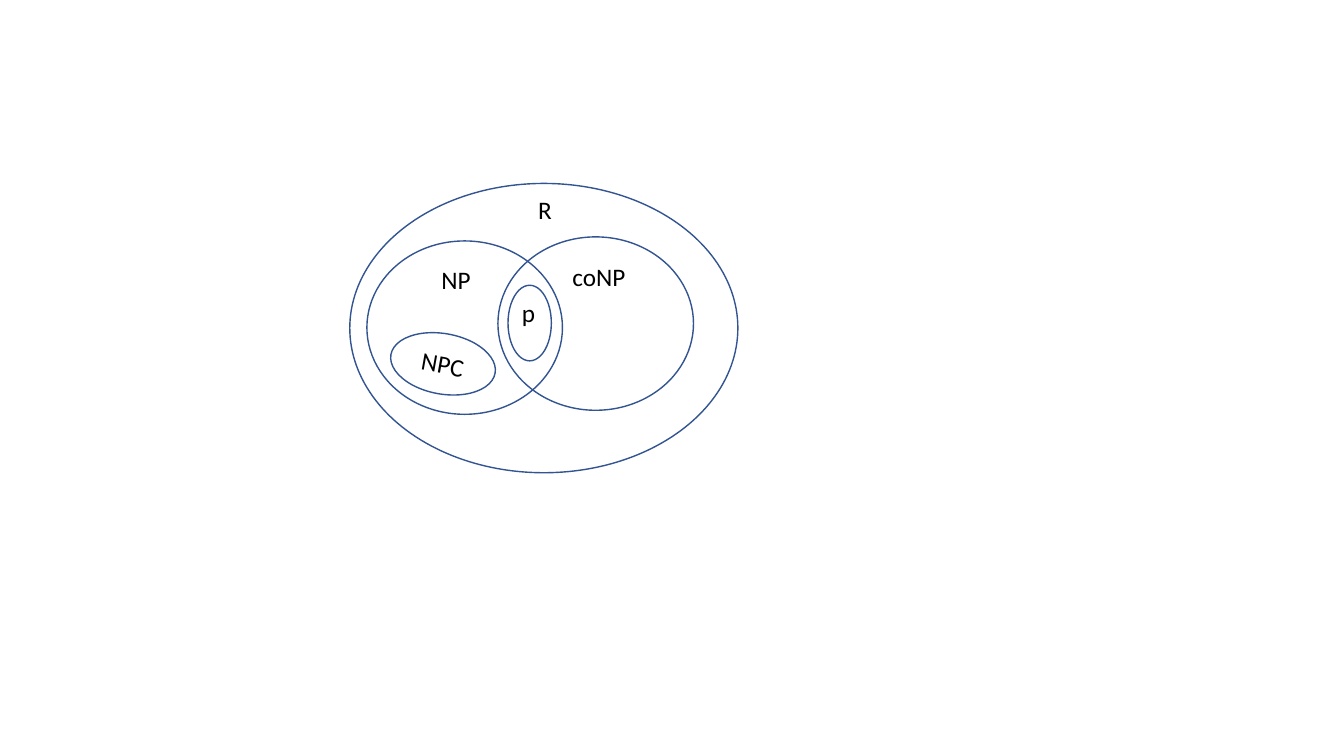
from dataclasses import dataclass

from pptx import Presentation
from pptx.dml.color import RGBColor
from pptx.enum.shapes import MSO_SHAPE
from pptx.enum.text import MSO_ANCHOR, MSO_AUTO_SIZE, PP_ALIGN
from pptx.util import Pt

ELLIPSE = MSO_SHAPE.OVAL
MIDDLE = MSO_ANCHOR.MIDDLE
CENTER = PP_ALIGN.CENTER
LEFT = PP_ALIGN.LEFT
GROW = MSO_AUTO_SIZE.SHAPE_TO_FIT_TEXT


@dataclass(frozen=True)
class Theme:
    outline: RGBColor = RGBColor(0x32, 0x54, 0x91)
    text: RGBColor = RGBColor(0, 0, 0)
    font: str = "Calibri"
    size: int = 18
    line: int = 1


theme = Theme()

prs = Presentation()
prs.slide_width, prs.slide_height = Pt(960), Pt(540)
s = prs.slides.add_slide(prs.slide_layouts[6])


def add_set(x, y, w, h):
    sp = s.shapes.add_shape(ELLIPSE, Pt(x), Pt(y), Pt(w), Pt(h))
    sp.shadow.inherit = False
    sp.fill.background()
    sp.line.color.rgb = theme.outline
    sp.line.width = Pt(theme.line)
    return sp


def write(tf, text, align):
    p = tf.paragraphs[0]
    p.alignment = align
    r = p.add_run()
    r.text = text
    r.font.name = theme.font
    r.font.size = Pt(theme.size)
    r.font.color.rgb = theme.text


classes = [
    ("R", (249.84, 131.04, 277.2, 206.64), (377.28, 135.36, 48.96)),
    ("NP", (262.08, 172.08, 139.68, 123.84), (308.16, 185.04, 47.52)),
    ("coNP", (355.68, 169.2, 139.68, 123.84), (401.76, 182.88, 59.76)),
    ("p", (362.88, 203.76, 30.96, 54), (365.76, 208.8, 28.08)),
]

for name, ellipse, (x, y, w) in classes:
    add_set(*ellipse)
    tb = s.shapes.add_textbox(Pt(x), Pt(y), Pt(w), Pt(28.8))
    tf = tb.text_frame
    tf.word_wrap = True
    tf.auto_size = GROW
    write(tf, name, LEFT)

npc = add_set(278.64, 238.32, 75.6, 43.2)
npc.rotation = 10.1
npc.text_frame.vertical_anchor = MIDDLE
write(npc.text_frame, "NPC", CENTER)

prs.save("out.pptx")
